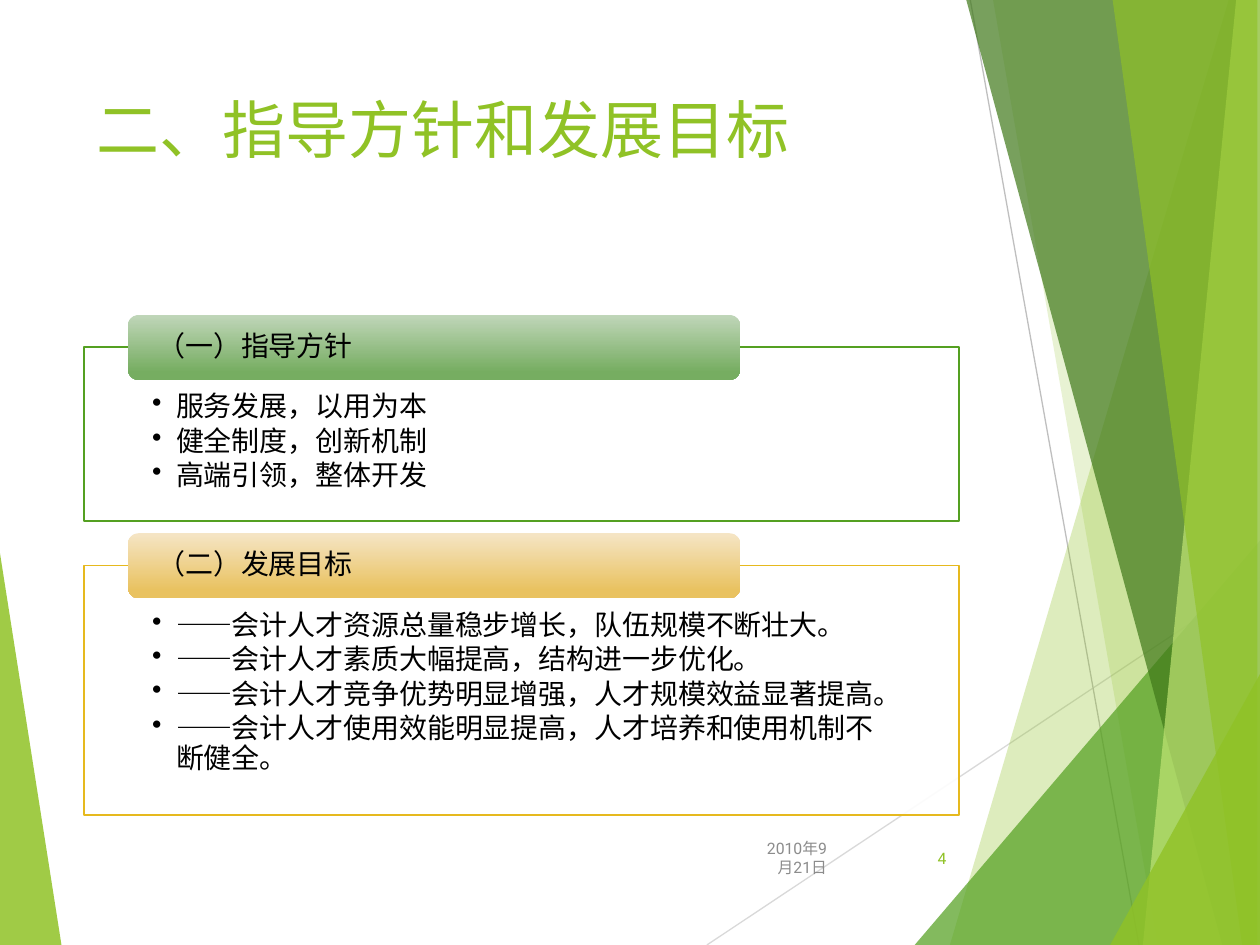
from lxml import etree
from pptx import Presentation
from pptx import util as u
from pptx.dml import color
from pptx.enum import shapes, text
from pptx.oxml import ns

GREEN, LEAF, AMBER, BLACK = "90C226", "54A021", "E6B91E", "000000"
CJK = "Noto Sans CJK SC"
SLIDE_W, SLIDE_H = 25.4, 19.05

FACETS = [
    (SLIDE_W, 24.77, 0, 19.15, GREEN, 30),
    (SLIDE_W, 20.02, 0, 23.34, GREEN, 20),
    (SLIDE_W, SLIDE_W, 10.9, 18.44, LEAF, 72),
    (SLIDE_W, 19.48, 0, 24.64, "3F7819", 70),
    (SLIDE_W, 24.92, 0, 23.04, "C0E474", 70),
    (25.35, 22.43, 0, 25.04, GREEN, 65),
    (SLIDE_W, SLIDE_W, 13.59, 22.38, GREEN, 80),
]
RAYS = [(14.25, 19.05, 25.4, 11.63, "D9D9D9"), (19.56, 0, 22.96, 19.05, "BFBFBF")]

GUIDELINES = ["服务发展，以用为本", "健全制度，创新机制", "高端引领，整体开发"]
GOALS = [
    "——会计人才资源总量稳步增长，队伍规模不断壮大。",
    "——会计人才素质大幅提高，结构进一步优化。",
    "——会计人才竞争优势明显增强，人才规模效益显著提高。",
    "——会计人才使用效能明显提高，人才培养和使用机制不断健全。",
]


def rgb(hex_code):
    """Turn a hex string into a colour."""
    return color.RGBColor.from_string(hex_code)


def paint(shape, hex_code, opacity):
    """Fill a shape with a partly transparent colour."""
    shape.shadow.inherit = False
    shape.fill.solid()
    shape.fill.fore_color.rgb = rgb(hex_code)
    tint = shape.fill._xPr.find(".//" + ns.qn("a:srgbClr"))
    etree.SubElement(tint, ns.qn("a:alpha"), val=str(opacity * 1000))


def write(frame, lines, size, hex_code, font="Roboto", align=text.PP_ALIGN.LEFT,
          anchor=text.MSO_ANCHOR.TOP, insets=(0.25, 0.13, 0.25, 0.13),
          bullet=False, spacing=None, after=None):
    """Write one paragraph per line into a text frame."""
    frame.word_wrap = True
    frame.vertical_anchor = anchor
    (frame.margin_left, frame.margin_top,
     frame.margin_right, frame.margin_bottom) = map(u.Cm, insets)
    for index, line in enumerate(lines):
        paragraph = frame.paragraphs[0] if index == 0 else frame.add_paragraph()
        paragraph.add_run().text = line
        properties = paragraph._p.get_or_add_pPr()
        if bullet:
            properties.set("marL", str(u.Cm(0.48)))
            properties.set("indent", str(-u.Cm(0.48)))
            etree.SubElement(properties, ns.qn("a:buChar"), char="•")
        paragraph.alignment = align
        if spacing:
            paragraph.line_spacing = spacing
        if after:
            paragraph.space_after = u.Pt(after)
        paragraph.font.size = u.Pt(size)
        paragraph.font.color.rgb = rgb(hex_code)
        paragraph.font.name = font
        latin = properties.find(".//" + ns.qn("a:latin"))
        latin.addnext(latin.makeelement(ns.qn("a:ea"), typeface=CJK))


def add_facet(slide, box, edge, top_x, top_y, base_x, hex_code, opacity):
    """Draw a translucent shard between a slanted side and a vertical edge."""
    left, top, _, height = box
    corners = [(top_x, top_y), (base_x, height), (edge, height), (edge, top_y)]
    points = [(u.Cm(left + x), u.Cm(top + y)) for x, y in corners]
    outline = slide.shapes.build_freeform(*points[0])
    outline.add_line_segments(points[1:])
    shard = outline.convert_to_shape()
    paint(shard, hex_code, opacity)
    shard.line.fill.background()


def add_backdrop(slide, box):
    """Draw the shards and thin rays behind the content."""
    left, top, _, _ = box
    add_facet(slide, box, 0, 0, 11.15, 1.24, GREEN, 85)
    for x1, y1, x2, y2, hex_code in RAYS:
        ray = slide.shapes.add_connector(
            shapes.MSO_CONNECTOR.STRAIGHT, u.Cm(left + x1), u.Cm(top + y1),
            u.Cm(left + x2), u.Cm(top + y2))
        ray.line.color.rgb = rgb(hex_code)
        ray.line.width = u.Pt(0.75)
        etree.SubElement(ray._element.spPr, ns.qn("a:effectLst"))
    for facet in FACETS:
        add_facet(slide, box, *facet)


def add_section(slide, box, heading, points, border, shades):
    """Draw a bordered list with a gradient heading tab on its top edge."""
    left, top, width, _ = box
    panel = slide.shapes.add_shape(shapes.MSO_SHAPE.RECTANGLE, *map(u.Cm, box))
    paint(panel, "FFFFFF", 90)
    panel.line.color.rgb = rgb(border)
    panel.line.width = u.Pt(1)
    write(panel.text_frame, points, 16, BLACK, insets=(1.37, 0.92, 1.37, 0.3),
          bullet=True, spacing=0.9, after=2.4)

    tab = slide.shapes.add_shape(
        shapes.MSO_SHAPE.ROUNDED_RECTANGLE, u.Cm(left + 0.88), u.Cm(top - 0.65),
        u.Cm(width * 0.7), u.Cm(1.31))
    tab.shadow.inherit = False
    tab.line.fill.background()
    tab.fill.gradient()
    tab.fill.gradient_angle = 270
    for stop, position, shade in zip(tab.fill.gradient_stops, (0, 0.88), shades):
        stop.position = position
        stop.color.rgb = rgb(shade)
    write(tab.text_frame, [heading], 16, BLACK, anchor=text.MSO_ANCHOR.MIDDLE,
          insets=(0.53, 0, 0.53, 0), spacing=0.9)


def add_label(slide, box, line, size, hex_code, **style):
    """Place a single line of text in a box."""
    label = slide.shapes.add_textbox(*map(u.Cm, box))
    write(label.text_frame, [line], size, hex_code, **style)


def add_footer(slide, box):
    """Place the date and the slide number at the right of the foot."""
    left, top, width, height = box
    style = {"align": text.PP_ALIGN.RIGHT, "anchor": text.MSO_ANCHOR.MIDDLE}
    add_label(slide, (left, top, 1.91, height), "2010年9月21日", 9, "8C8C8C", **style)
    add_label(slide, (left + width - 1.42, top, 1.42, height), "4", 9, GREEN, **style)


def main():
    """Build and save the slide."""
    deck = Presentation()
    deck.slide_width, deck.slide_height = u.Cm(SLIDE_W), u.Cm(SLIDE_H)
    slide = deck.slides.add_slide(deck.slide_layouts[6])
    add_backdrop(slide, (0, 0, SLIDE_W, SLIDE_H))
    add_label(slide, (1.7, 1.7, 17.63, 3.66), "二、指导方针和发展目标", 36, GREEN, font=CJK)
    add_section(slide, (1.7, 7, 17.63, 3.5), "（一）指导方针", GUIDELINES,
                LEAF, ("C0D6B9", "76AD61"))
    add_section(slide, (1.7, 11.4, 17.63, 5.03), "（二）发展目标", GOALS,
                AMBER, ("F5E5C5", "E9C260"))
    add_footer(slide, (15.01, 16.79, 4.32, 1.02))
    deck.save("out.pptx")


if __name__ == "__main__":
    main()
